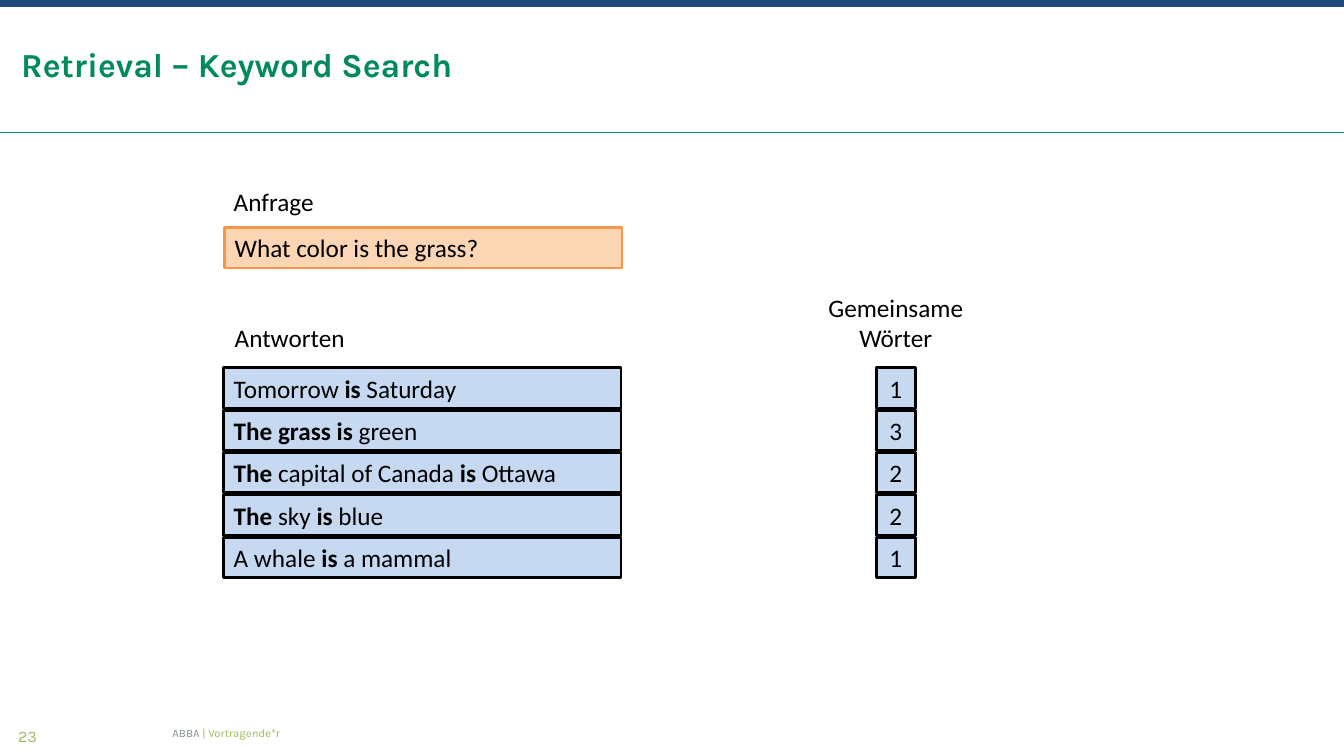
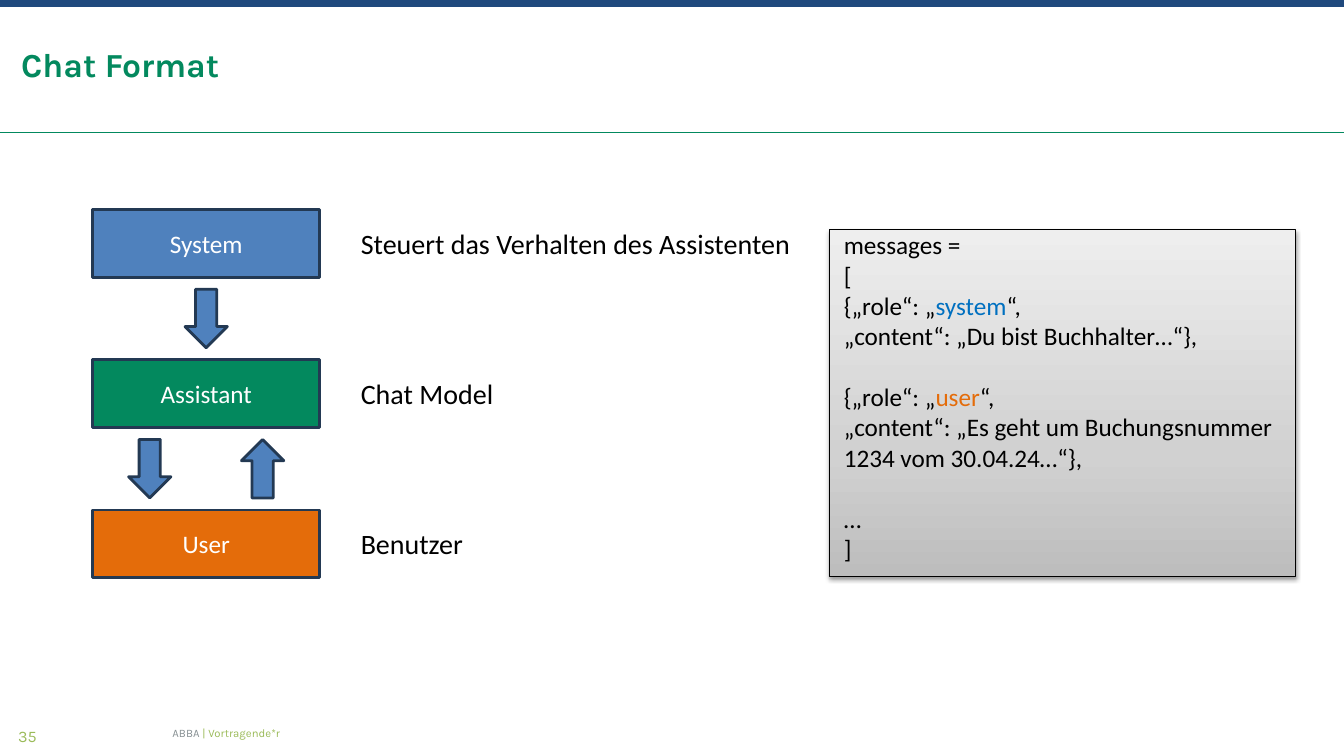
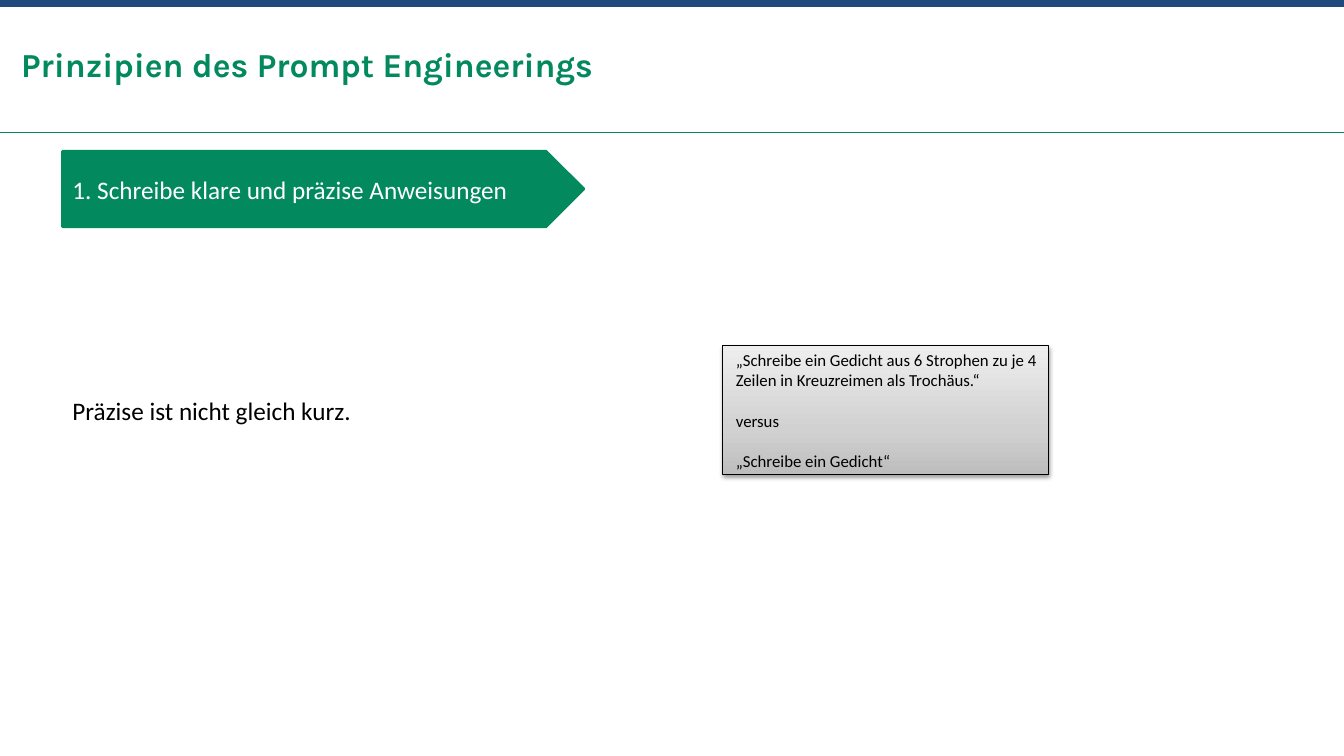
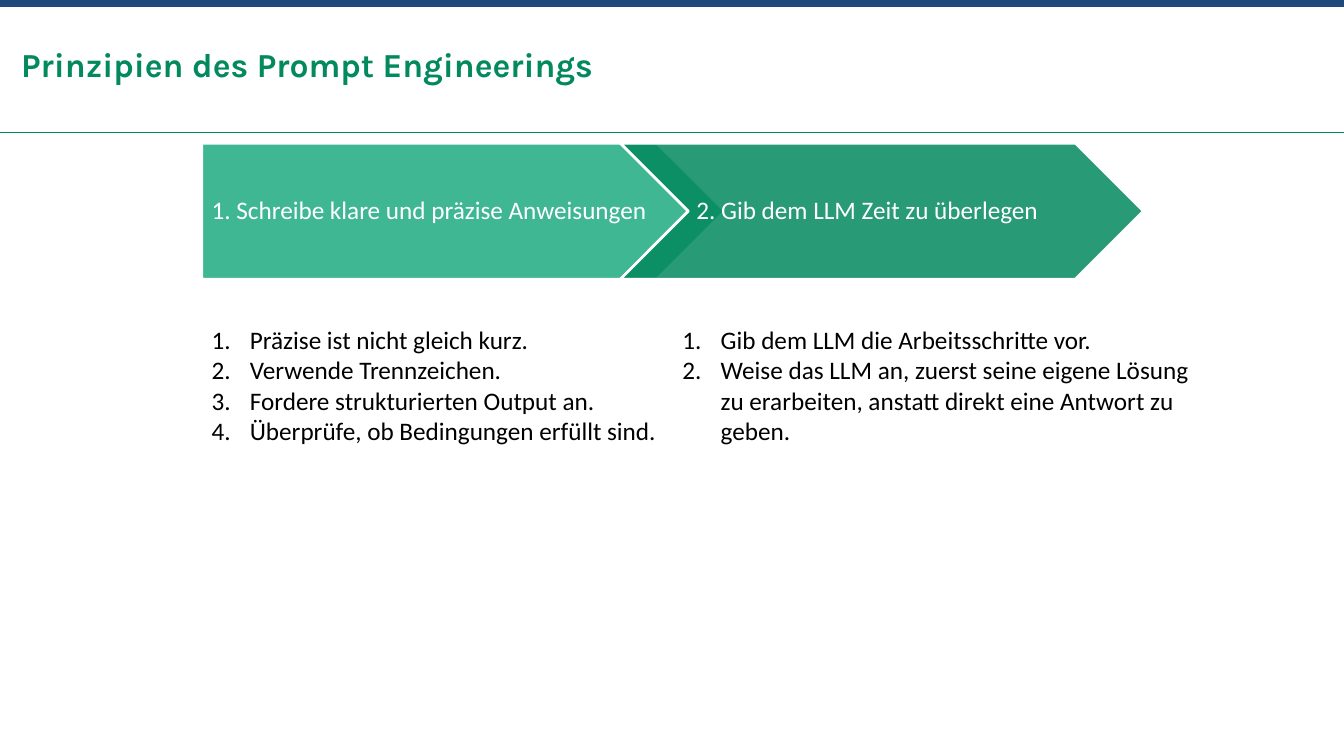
from dataclasses import dataclass

from pptx import Presentation
from pptx.dml.color import RGBColor
from pptx.enum.shapes import MSO_CONNECTOR as Conn, MSO_SHAPE as Shape
from pptx.enum.text import MSO_ANCHOR as Anchor, PP_ALIGN as Align
from pptx.oxml import parse_xml
from pptx.oxml.ns import nsdecls, qn
from pptx.oxml.xmlchemy import OxmlElement
from pptx.util import Inches, Pt


@dataclass(frozen=True)
class Theme:
    # Colours
    green: str = "03895E"
    mint: str = "00A070"
    navy: str = "1F497D"
    blue: str = "4F81BD"
    outline: str = "233953"
    orange: str = "E46C0A"
    query: str = "FCD5B5"
    query_line: str = "F79646"
    answer: str = "C6D9F1"
    role_blue: str = "0070C0"
    lime: str = "9BBB59"
    grey: str = "889194"
    black: str = "000000"
    white: str = "FFFFFF"
    panel_stops: tuple = ((0, "BDBDBD"), (35, "D1D1D1"), (100, "EEEEEE"))
    # Fonts and sizes
    head_font: str = "Karla"
    body_font: str = "Calibri"
    title: float = 24
    label: float = 20
    body: float = 18
    small: float = 12
    number: float = 11.5
    footer: float = 8.1
    line: float = 2


T = Theme()
WIDTH, HEIGHT = 13.33, 7.5
INSETS = (0.1, 0.05, 0.1, 0.05)
PRINCIPLES = "Prinzipien des Prompt Engineerings"
CLEAR = "1. Schreibe klare und präzise Anweisungen"


def rgb(value):
    return RGBColor.from_string(value)


# Text and shapes

def number_paragraph(p):
    """Give a paragraph an automatic number and a hanging indent."""
    pPr = p._p.get_or_add_pPr()
    pPr.set("marL", str(Inches(0.38)))
    pPr.set("indent", str(-Inches(0.38)))
    bullet = OxmlElement("a:buAutoNum")
    bullet.set("type", "arabicPeriod")
    pPr.append(bullet)


def write(s, paragraphs, size=T.body, color=T.black, font=T.body_font, bold=False,
          align=Align.LEFT, anchor=Anchor.TOP, insets=INSETS, numbered=False,
          spacing=None, gaps=()):
    """Fill s; a paragraph is a string or a list of (text, format) runs.

    gaps lists the paragraphs that stand one line below the one before.
    """
    tf = s.text_frame
    tf.word_wrap = True
    tf.vertical_anchor = anchor
    tf.margin_left, tf.margin_top, tf.margin_right, tf.margin_bottom = map(Inches, insets)
    for i, runs in enumerate(paragraphs):
        p = tf.paragraphs[0] if i == 0 else tf.add_paragraph()
        if numbered:
            number_paragraph(p)
        p.alignment = align
        if spacing:
            p.line_spacing = spacing
        if i in gaps:
            p.space_before = Pt(round(size * 1.22, 1))
        for text, fmt in [(runs, {})] if isinstance(runs, str) else runs:
            r = p.add_run()
            r.text = text
            r.font.name, r.font.size = font, Pt(size)
            r.font.bold = fmt.get("bold", bold)
            r.font.color.rgb = rgb(fmt.get("color", color))
    return s


def add_text(slide, box, paragraphs, **fmt):
    return write(slide.shapes.add_textbox(*map(Inches, box)), paragraphs, **fmt)


def add_block(slide, box, fill, line=None, kind=Shape.RECTANGLE, width=T.line, alpha=None):
    s = slide.shapes.add_shape(kind, *map(Inches, box))
    s.shadow.inherit = False
    s.fill.solid()
    s.fill.fore_color.rgb = rgb(fill)
    if alpha:
        opacity = OxmlElement("a:alpha")
        opacity.set("val", str(alpha * 1000))
        s._element.spPr.find(qn("a:solidFill"))[0].append(opacity)
    if line:
        s.line.color.rgb = rgb(line)
        s.line.width = Pt(width)
    else:
        s.line.fill.background()
    return s


def add_panel(slide, box):
    """Grey gradient panel with a soft shadow below."""
    s = add_block(slide, box, T.white, T.black, width=0.75)
    spPr = s._element.spPr
    stops = "".join(f'<a:gs pos="{pos * 1000}"><a:srgbClr val="{color}"/></a:gs>'
                    for pos, color in T.panel_stops)
    spPr.replace(spPr.find(qn("a:solidFill")), parse_xml(
        f'<a:gradFill {nsdecls("a")} rotWithShape="1"><a:gsLst>{stops}</a:gsLst>'
        '<a:lin ang="16200000" scaled="0"/></a:gradFill>'))
    spPr.find(qn("a:effectLst")).append(parse_xml(
        f'<a:outerShdw {nsdecls("a")} blurRad="{Pt(3.1)}" dist="{Pt(1.6)}" dir="5400000" '
        'rotWithShape="0"><a:srgbClr val="000000"><a:alpha val="38000"/></a:srgbClr>'
        '</a:outerShdw>'))
    return s


# Frame shared by all slides

def add_slide(prs, title, number=None):
    slide = prs.slides.add_slide(prs.slide_layouts[6])
    rule = slide.shapes.add_connector(Conn.STRAIGHT, 0, Inches(1.31),
                                      Inches(WIDTH), Inches(1.31))
    rule.line.color.rgb = rgb(T.green)
    rule.line.width = Pt(0.72)
    rule._element.spPr.append(OxmlElement("a:effectLst"))
    add_block(slide, (0, 0, WIDTH, 0.07), T.navy)
    flush = dict(font=T.head_font, insets=(0, 0, 0, 0))
    add_text(slide, (0.21, 0.44, 12.91, 0.4), [title], size=T.title, color=T.green,
             bold=True, anchor=Anchor.BOTTOM, **flush)
    if number:
        add_text(slide, (0.18, 7.21, 1.4, 0.19), [number], size=T.number,
                 color=T.lime, **flush)
        add_text(slide, (1.71, 7.2, 9.91, 0.15),
                 [[("ABBA ", {"color": T.grey}), ("| Vortragende*r", {})]],
                 size=T.footer, color=T.lime, anchor=Anchor.MIDDLE, **flush)
    return slide


# Keyword search

def add_column(slide, box, rows, pitch, **fmt):
    """Stack one answer cell for each row, starting at box."""
    x, y, w, h = box
    for i, row in enumerate(rows):
        cell = add_block(slide, (x, y + i * pitch, w, h), T.answer, T.black)
        write(cell, [row], **fmt)


def keyword_slide(prs):
    slide = add_slide(prs, "Retrieval – Keyword Search", "23")
    x, y, w, h = 2.22, 3.65, 3.94, 0.4
    pitch, count_x, count_w = 0.42, 8.69, 0.39
    strong = {"bold": True}
    answers = [
        [("Tomorrow ", {}), ("is", strong), (" Saturday", {})],
        [("The grass is ", strong), ("green", {})],
        [("The ", strong), ("capital of Canada ", {}), ("is", strong), (" Ottawa", {})],
        [("The ", strong), ("sky ", {}), ("is ", strong), ("blue", {})],
        [("A whale ", {}), ("is", strong), (" a mammal", {})],
    ]
    # Query
    add_text(slide, (x, 1.8, w, h), ["Anfrage"])
    write(add_block(slide, (x + 0.01, 2.26, w, h), T.query, T.query_line),
          ["What color is the grass?"])
    # Answers and their counts of shared words
    add_text(slide, (x + 0.01, y - 0.5, w, h), ["Antworten"])
    add_column(slide, (x, y, w, h), answers, pitch)
    add_text(slide, (count_x + count_w / 2 - 1, y - 0.8, 2, 0.71),
             ["Gemeinsame", "Wörter"], align=Align.CENTER)
    add_column(slide, (count_x, y, count_w, h), "13221", pitch, align=Align.CENTER)


# Chat format

def add_roles(slide, x, y):
    w, h, pitch = 2.25, 0.67, 1.49
    arrow_w, arrow_h, side = 0.42, 0.58, 0.56
    roles = [("System", T.blue, "Steuert das Verhalten des Assistenten"),
             ("Assistant", T.green, "Chat Model"),
             ("User", T.orange, "Benutzer")]
    for i, (role, fill, meaning) in enumerate(roles):
        top = y + i * pitch
        write(add_block(slide, (x, top, w, h), fill, T.outline), [role],
              color=T.white, align=Align.CENTER, anchor=Anchor.MIDDLE)
        add_text(slide, (x + 2.56, top, 4.7, h), [meaning], size=T.label,
                 anchor=Anchor.MIDDLE)
    # Arrows: row, shift from the centre, rotation
    for row, shift, turn in [(0, 0, 0), (1, -side, 0), (1, side, 180)]:
        left = x + (w - arrow_w) / 2 + shift
        top = y + row * pitch + (h + pitch - arrow_h) / 2
        arrow = add_block(slide, (left, top, arrow_w, arrow_h), T.blue, T.outline,
                          Shape.DOWN_ARROW)
        arrow.rotation = turn


def add_messages(slide, x, y):
    add_panel(slide, (x, y, 4.62, 3.44))

    def role_line(role, color):
        return [("{„role“: „", {}), (role, {"color": color}), ("“,", {})]

    add_text(slide, (x + 0.04, y - 0.05, 4.58, 3.74), [
        "messages =",
        "[",
        role_line("system", T.role_blue),
        "„content“: „Du bist Buchhalter…“},",
        role_line("user", T.orange),
        "„content“: „Es geht um Buchungsnummer",
        "1234 vom 30.04.24…“},",
        "…",
        "]",
    ], gaps=(4, 7))


def chat_slide(prs):
    slide = add_slide(prs, "Chat Format", "35")
    add_roles(slide, 0.92, 2.08)
    add_messages(slide, 8.23, 2.28)


# Principles of prompt engineering

def precise_slide(prs):
    slide = add_slide(prs, PRINCIPLES)
    x = 0.62
    write(add_block(slide, (x, 1.5, 5.17, 0.75), T.green, T.green, Shape.PENTAGON),
          [CLEAR], color=T.white, anchor=Anchor.MIDDLE)
    add_text(slide, (x, 3.87, 4, 0.4), ["Präzise ist nicht gleich kurz."])
    # Example prompts
    add_panel(slide, (7.17, 3.43, 3.23, 1.28))
    add_text(slide, (7.2, 3.42, 3.23, 1.31), [
        "„Schreibe ein Gedicht aus 6 Strophen zu je 4 Zeilen in Kreuzreimen als Trochäus.“",
        "versus",
        "„Schreibe ein Gedicht“",
    ], size=T.small, gaps=(1, 2))


def add_step(slide, box, kind, fill, alpha, label_box, left_inset, heading):
    add_block(slide, box, fill, T.white, kind, alpha=alpha)
    add_text(slide, label_box, [heading], color=T.white, anchor=Anchor.MIDDLE,
             insets=(left_inset, 0.05, 0.03, 0.05), spacing=0.9)


def overview_slide(prs):
    slide = add_slide(prs, PRINCIPLES)
    x, y, w, h = 2, 1.42, 5.19, 1.35
    second = x + 0.8 * w
    # Steps
    add_step(slide, (x, y, w, h), Shape.PENTAGON, T.mint, 75,
             (x, y, 4.85, h), 0.1, CLEAR)
    add_step(slide, (second, y, w, h), Shape.CHEVRON, T.green, 85,
             (second + h / 2, y, w - h, h), 0.08, "2. Gib dem LLM Zeit zu überlegen")
    # Rules of each step
    add_text(slide, (x, 3.17, 4.7, 1.31), [
        "Präzise ist nicht gleich kurz.",
        "Verwende Trennzeichen.",
        "Fordere strukturierten Output an.",
        "Überprüfe, ob Bedingungen erfüllt sind.",
    ], numbered=True)
    add_text(slide, (6.67, 3.17, 5.24, 1.31), [
        "Gib dem LLM die Arbeitsschritte vor.",
        "Weise das LLM an, zuerst seine eigene Lösung zu erarbeiten, "
        "anstatt direkt eine Antwort zu geben.",
    ], numbered=True)


def main():
    prs = Presentation()
    prs.slide_width, prs.slide_height = Inches(WIDTH), Inches(HEIGHT)
    for build in (keyword_slide, chat_slide, precise_slide, overview_slide):
        build(prs)
    prs.save("out.pptx")


if __name__ == "__main__":
    main()
